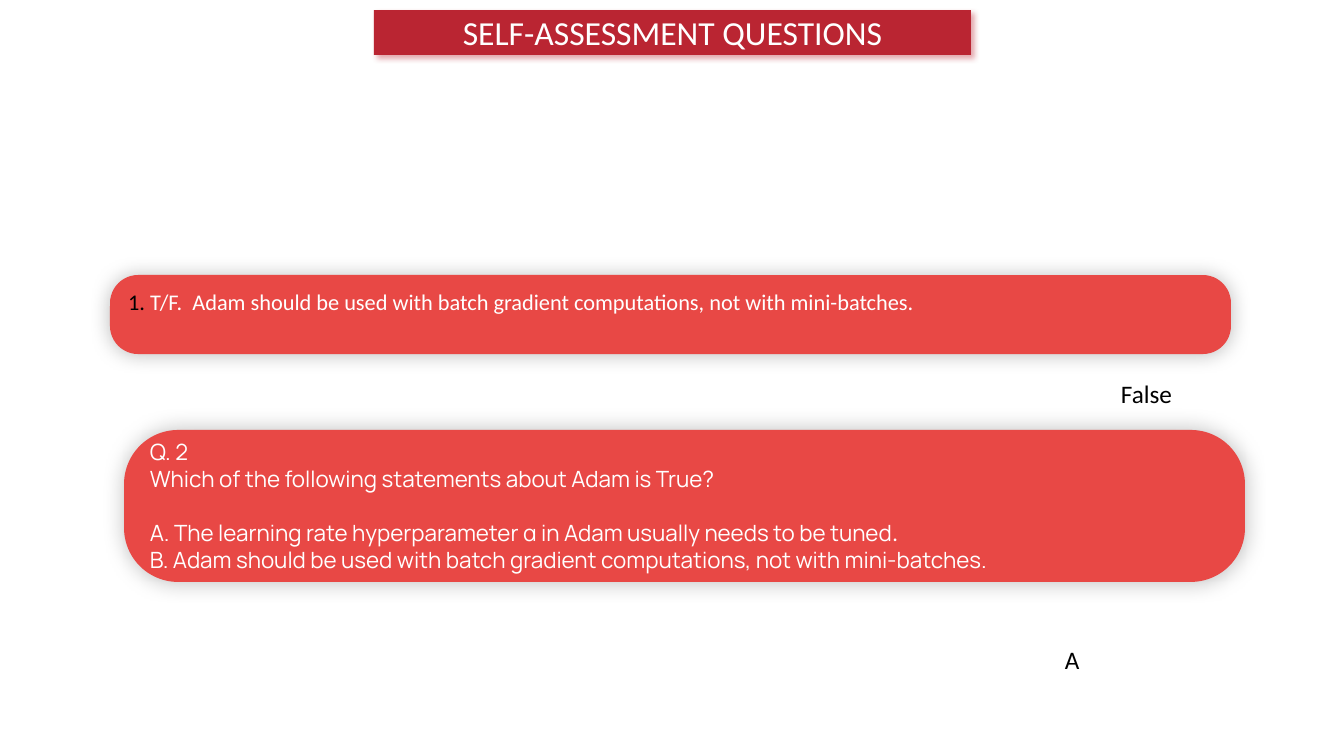
"""Build the self-assessment questions slide."""
from lxml import etree
from pptx import Presentation
from pptx.dml.color import RGBColor
from pptx.enum.shapes import MSO_SHAPE
from pptx.enum.text import MSO_ANCHOR, MSO_AUTO_SIZE, PP_ALIGN
from pptx.oxml import parse_xml
from pptx.oxml.ns import nsdecls
from pptx.util import Emu, Pt

ROUNDED = MSO_SHAPE.ROUNDED_RECTANGLE
TOP, MIDDLE = MSO_ANCHOR.TOP, MSO_ANCHOR.MIDDLE
CENTER, NO_FIT = PP_ALIGN.CENTER, MSO_AUTO_SIZE.NONE
PX = 914400 / 100.8
THEME = {
    "banner": "BA2532", "card": "E84845", "light": "FFFFFF", "dark": "000000",
    "font": "Calibri", "card_font": "Manrope",
    "title_size": 24, "answer_size": 18, "question_size": 16, "gap": 19.5,
}


def write(paragraph, text, size=THEME["question_size"], color=THEME["light"], font=THEME["font"]):
    run = paragraph.add_run()
    run.text = text
    run.font.size = Pt(size)
    run.font.name = font
    run.font.color.rgb = RGBColor.from_string(color)


def paint(panel, fill, shadow, alpha, blur, distance=0, angle=0):
    panel.fill.solid()
    panel.fill.fore_color.rgb = RGBColor.from_string(fill)
    panel.line.fill.background()
    panel._element.spPr.append(parse_xml(
        f'<a:effectLst {nsdecls("a")}><a:outerShdw blurRad="{Pt(blur)}" dist="{Pt(distance)}" '
        f'dir="{angle * 60000}" algn="ctr" rotWithShape="0"><a:srgbClr val="{shadow}">'
        f'<a:alpha val="{alpha * 1000}"/></a:srgbClr></a:outerShdw></a:effectLst>'))


deck = Presentation()
deck.slide_width, deck.slide_height = Emu(round(1344 * PX)), Emu(round(756 * PX))
slide = deck.slides.add_slide(deck.slide_layouts[5])

banner = slide.shapes.title
banner.left, banner.top, banner.width, banner.height = [Emu(round(n * PX)) for n in (374, 10, 597, 45)]
geometry = parse_xml(f'<a:prstGeom {nsdecls("a")} prst="roundRect"/>')
etree.SubElement(geometry, geometry.tag.replace("prstGeom", "avLst"))
banner._element.spPr.append(geometry)
paint(banner, THEME["banner"], THEME["banner"], alpha=40, blur=4, distance=3, angle=45)
banner.text_frame.auto_size = NO_FIT
banner.text_frame.vertical_anchor = MIDDLE
heading = banner.text_frame.paragraphs[0]
heading.alignment = CENTER
write(heading, "SELF-ASSESSMENT QUESTIONS", size=THEME["title_size"])

cards = []
for left, top, height, anchor in ((110, 275, 79, TOP), (124, 430, 152, MIDDLE)):
    card = slide.shapes.add_shape(ROUNDED, *[Emu(round(n * PX)) for n in (left, top, 1121, height)])
    card.adjustments[0] = 0.356
    paint(card, THEME["card"], THEME["dark"], alpha=25, blur=15)
    card.text_frame.word_wrap = True
    card.text_frame.vertical_anchor = anchor
    cards.append(card.text_frame)
true_false, multiple_choice = cards

statement = true_false.paragraphs[0]
statement.alignment = PP_ALIGN.LEFT
write(statement, "1. ", color=THEME["dark"])
write(statement, "T/F.  Adam should be used with batch gradient computations, not with mini-batches.")

choice_lines = (
    ("Q. 2", "", 0),
    ("Which of the following statements about Adam is True?", "", 0),
    ("A. The learning rate hyperparameter α in Adam usually needs to be tuned", ".", THEME["gap"]),
    ("B. Adam should be used with batch gradient computations, not with mini-batches.", "", 0),
)
for index, (wording, full_stop, gap) in enumerate(choice_lines):
    line = multiple_choice.add_paragraph() if index else multiple_choice.paragraphs[0]
    line.alignment = PP_ALIGN.LEFT
    line.space_before = Pt(gap)
    write(line, wording, font=THEME["card_font"])
    if full_stop:
        write(line, full_stop)

for answer, left, top, width in (("False", 1111, 373, 128), ("A", 1055, 639, 109)):
    reply = slide.shapes.add_textbox(*[Emu(round(n * PX)) for n in (left, top, width, 40)])
    reply.text_frame.word_wrap = True
    write(reply.text_frame.paragraphs[0], answer, size=THEME["answer_size"], color=THEME["dark"])

deck.save("out.pptx")
